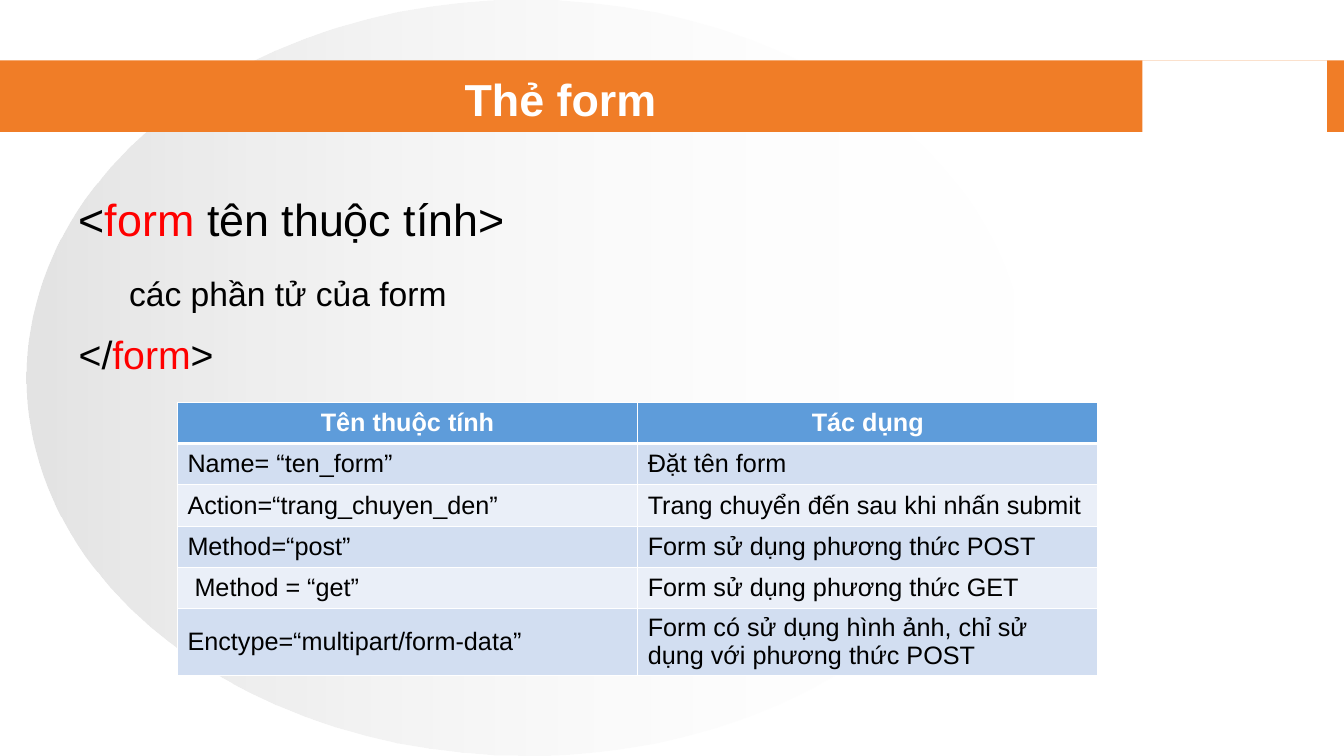
"""Build the slide on the HTML form tag and its attributes."""
from lxml import etree
from pptx import Presentation, util as u
from pptx.dml.color import RGBColor
from pptx.enum import shapes, text
from pptx.oxml.ns import qn

COLORS = {"black": "000000", "white": "FFFFFF", "red": "FF0000", "grey": "C0C0C0",
          "orange": "F07D27", "header": "5E9CDA", "odd": "D2DEF1", "even": "EAEFF8"}
FONT = "Arial"

TITLE = "Thẻ form"
SYNTAX = [
    [("<", 32, "black"), ("form ", 32, "red"), ("tên thuộc tính>", 32, "black")],
    [("\t", 32, "black"), ("các phần tử của form", 24, "black")],
    [("</", 28, "black"), ("form", 28, "red"), (">", 28, "black")],
]
ATTRIBUTES = [
    ("Tên thuộc tính", "Tác dụng"),
    ("Name= “ten_form”", "Đặt tên form"),
    ("Action=“trang_chuyen_den”", "Trang chuyển đến sau khi nhấn submit"),
    ("Method=“post”", "Form sử dụng phương thức POST"),
    (" Method = “get”", "Form sử dụng phương thức GET"),
    ("Enctype=“multipart/form-data”",
     "Form có sử dụng hình ảnh, chỉ sử dụng với phương thức POST"),
]
BANDS = [("orange", (0, 0.6, 13.33, 0.71)), ("white", (11.33, 0.6, 1.83, 0.71))]
ELLIPSE = (0.26, 0, 9.92, 7.5)
GRADIENT = [("grey", 44), ("white", 0)]
TITLE_AREA = (0.68, 0.67, 9.76, 0.62)
BODY_AREA = (0.67, 1.83, 12.06, 5.08)
TABLE_AREA = (1.76, 3.99, 9.13, 2.7)
ROW_HEIGHT, LAST_ROW_HEIGHT = 0.41, 0.65


def rgb(name):
    return RGBColor.from_string(COLORS[name])


def inches(area):
    return [u.Inches(value) for value in area]


def add_span(para, words, size, color, bold=False):
    span = para.add_run()
    span.text = words
    for name, value in {"name": FONT, "size": u.Pt(size), "bold": bold}.items():
        setattr(span.font, name, value)
    span.font.color.rgb = rgb(color)


def add_plain_shape(page, kind, area):
    shape = page.shapes.add_shape(kind, *inches(area))
    shape.shadow.inherit = False
    shape.line.fill.background()
    return shape


def add_backdrop(page):
    ellipse = add_plain_shape(page, shapes.MSO_SHAPE.OVAL, ELLIPSE)
    ellipse.fill.gradient()
    ellipse.fill.gradient_angle = 0
    for stop, (color, opacity) in zip(ellipse.fill.gradient_stops, GRADIENT):
        stop.color.rgb = rgb(color)
    for tint, (color, opacity) in zip(ellipse.element.spPr.iter(qn("a:srgbClr")), GRADIENT):
        etree.SubElement(tint, qn("a:alpha"), val=str(opacity * 1000))
    for color, area in BANDS:
        band = add_plain_shape(page, shapes.MSO_SHAPE.RECTANGLE, area)
        band.fill.solid()
        band.fill.fore_color.rgb = rgb(color)


def place(box, area, anchor):
    box.left, box.top, box.width, box.height = inches(area)
    frame = box.text_frame
    settings = {"word_wrap": True, "auto_size": text.MSO_AUTO_SIZE.NONE,
                "vertical_anchor": anchor}
    for name, value in settings.items():
        setattr(frame, name, value)
    box.element.getparent().append(box.element)
    return frame


def fill_title(page):
    para = place(page.shapes.title, TITLE_AREA, text.MSO_ANCHOR.MIDDLE).paragraphs[0]
    para.alignment = text.PP_ALIGN.CENTER
    add_span(para, TITLE, 32, "white", True)


def fill_syntax(page):
    frame = place(page.placeholders[1], BODY_AREA, text.MSO_ANCHOR.TOP)
    for index, spans in enumerate(SYNTAX):
        para = frame.add_paragraph() if index else frame.paragraphs[0]
        props = para._p.get_or_add_pPr()
        props.set("marL", str(u.Inches(0.01)))
        props.set("indent", "0")
        etree.SubElement(props, qn("a:buNone"))
        tabs = etree.SubElement(props, qn("a:tabLst"))
        etree.SubElement(tabs, qn("a:tab"), pos=str(u.Inches(1)), algn="l")
        para.line_spacing = 1.05
        para.space_before = u.Pt(9.2 if index else 0)
        for span in spans:
            add_span(para, *span)


def add_borders(cell, row):
    props = cell._tc.get_or_add_tcPr()
    thick_sides = {0: "lnB", 1: "lnT"}
    for side in ("lnL", "lnR", "lnT", "lnB"):
        width = u.Pt(3 if thick_sides.get(row) == side else 1)
        line = etree.SubElement(props, qn("a:" + side), w=str(width))
        paint = etree.SubElement(line, qn("a:solidFill"))
        etree.SubElement(paint, qn("a:srgbClr"), val=COLORS["white"])


def add_attributes(page):
    table = page.shapes.add_table(len(ATTRIBUTES), 2, *inches(TABLE_AREA)).table
    for row, words in enumerate(ATTRIBUTES):
        last = row == len(ATTRIBUTES) - 1
        table.rows[row].height = u.Inches(LAST_ROW_HEIGHT if last else ROW_HEIGHT)
        head = row == 0
        fill = "header" if head else "odd" if row % 2 else "even"
        for column, label in enumerate(words):
            cell = table.cell(row, column)
            add_borders(cell, row)
            cell.fill.solid()
            cell.fill.fore_color.rgb = rgb(fill)
            cell.vertical_anchor = text.MSO_ANCHOR.MIDDLE
            para = cell.text_frame.paragraphs[0]
            para.alignment = text.PP_ALIGN.CENTER if head else text.PP_ALIGN.LEFT
            add_span(para, label, 18, "white" if head else "black", head)


def main():
    deck = Presentation()
    deck.slide_width, deck.slide_height = inches((13.33, 7.5))
    page = deck.slides.add_slide(deck.slide_layouts[1])
    add_backdrop(page)
    fill_title(page)
    fill_syntax(page)
    add_attributes(page)
    deck.save("out.pptx")


if __name__ == "__main__":
    main()
